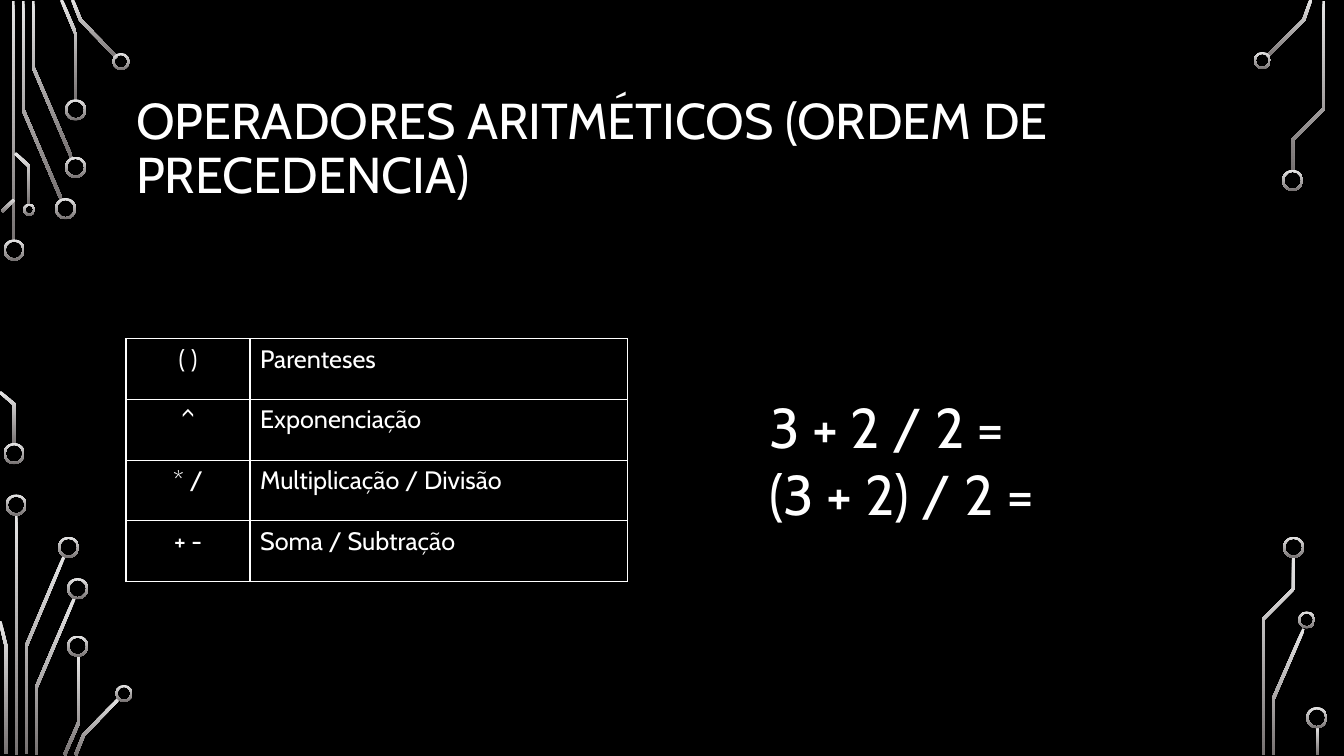
import math
from dataclasses import dataclass

from lxml import etree
from pptx import Presentation
from pptx import util as u
from pptx.dml.color import RGBColor
from pptx.enum import shapes, text
from pptx.oxml.ns import qn

FONT = "Cabin"
WHITE = "FFFFFF"
TRACK_WIDTH = 0.03
RING_WIDTH = 0.02
Point = tuple[float, float]


@dataclass(frozen=True)
class Track:
    points: tuple[Point, ...]


@dataclass(frozen=True)
class Ring:
    x: float
    y: float
    diameter: float = 0.21


@dataclass(frozen=True)
class Operator:
    symbol: str
    meaning: str


TRACKS = [
    Track(((0.13, 0.01), (0.13, 2.4))),
    Track(((0.23, 0.01), (0.23, 1.09), (0.61, 1.98))),
    Track(((0.33, 0.01), (0.33, 0.67), (0.71, 1.56))),
    Track(((0.61, 0), (0.75, 0.33), (0.75, 1))),
    Track(((0.72, 0), (0.8, 0.2), (1.16, 0.57))),
    Track(((0.14, 1.98), (0.02, 2.1))),
    Track(((0, 3.89), (0.14, 4.01), (0.14, 4.41))),
    Track(((0.15, 1.52), (0.29, 1.65), (0.29, 2.03))),
    Track(((0.16, 5.1), (0.16, 7.49))),
    Track(((0.64, 5.51), (0.26, 6.41), (0.26, 7.48))),
    Track(((0, 6.16), (0.06, 6.41), (0.06, 7.48))),
    Track(((0.74, 5.93), (0.36, 6.82), (0.36, 7.49))),
    Track(((0.78, 6.5), (0.78, 7.17), (0.64, 7.49))),
    Track(((1.18, 6.93), (0.83, 7.29), (0.75, 7.49))),
    Track(((13, 0), (12.93, 0.2), (12.57, 0.56))),
    Track(((13.13, 0.01), (13.13, 1.08), (12.82, 1.39), (12.82, 1.69))),
    Track(((12.93, 6.24), (12.63, 6.93), (12.63, 7.49))),
    Track(((12.83, 5.52), (12.83, 5.84), (12.53, 6.14), (12.53, 7.49))),
    Track(((13.07, 7.21), (13.07, 7.49))),
]

RINGS = [
    Ring(0.14, 2.48), Ring(0.14, 4.5), Ring(0.65, 2.07), Ring(0.75, 1.66),
    Ring(0.75, 1.09), Ring(1.2, 0.61, 0.17), Ring(0.29, 2.08, 0.12),
    Ring(0.16, 5.01), Ring(0.68, 5.43), Ring(0.77, 5.84), Ring(0.77, 6.41),
    Ring(1.23, 6.88, 0.17), Ring(12.52, 0.6, 0.17), Ring(12.82, 1.79),
    Ring(12.96, 6.15, 0.17), Ring(12.83, 5.43), Ring(13.06, 7.12),
]

OPERATORS = [
    Operator("( )", "Parenteses"),
    Operator("^", "Exponenciação"),
    Operator("* /", "Multiplicação / Divisão"),
    Operator("+ -", "Soma / Subtração"),
]


def length(inches: float) -> u.Length:
    return u.Cm(inches * 2.54)


def color(value: str) -> RGBColor:
    return RGBColor.from_string(value)


def format_text(frame, size: float) -> None:
    for paragraph in frame.paragraphs:
        for run in paragraph.runs:
            run.font.name = FONT
            run.font.size = u.Pt(size)
            run.font.color.rgb = color(WHITE)


def paint_metal(shape) -> None:
    shape.shadow.inherit = False
    shape.line.fill.background()
    shape.fill.gradient()
    shape.fill.gradient_angle = 270
    for stop, (position, value) in zip(
        shape.fill.gradient_stops, ((0, "E7E6E6"), (1, "767171"))
    ):
        stop.position = position
        stop.color.rgb = color(value)


def track_outline(points: tuple[Point, ...]) -> list[Point]:
    normals = []
    for (x1, y1), (x2, y2) in zip(points, points[1:]):
        distance = math.hypot(x2 - x1, y2 - y1)
        normals.append(((y1 - y2) / distance, (x2 - x1) / distance))
    left, right = [], []
    joints = zip(points, normals[:1] + normals, normals + normals[-1:])
    for (x, y), (ax, ay), (bx, by) in joints:
        scale = TRACK_WIDTH / 2 / (1 + ax * bx + ay * by)
        dx, dy = (ax + bx) * scale, (ay + by) * scale
        left.append((x + dx, y + dy))
        right.append((x - dx, y - dy))
    return left + right[::-1]


def draw_track(slide, track: Track) -> None:
    start, *others = [(length(x), length(y)) for x, y in track_outline(track.points)]
    builder = slide.shapes.build_freeform(*start)
    builder.add_line_segments(others, close=True)
    paint_metal(builder.convert_to_shape())


def draw_ring(slide, ring: Ring) -> None:
    radius = ring.diameter / 2
    shape = slide.shapes.add_shape(
        shapes.MSO_SHAPE.DONUT, length(ring.x - radius), length(ring.y - radius),
        length(ring.diameter), length(ring.diameter),
    )
    shape.adjustments[0] = RING_WIDTH / ring.diameter
    paint_metal(shape)


def add_title(slide) -> None:
    title = slide.shapes.title
    title.left, title.top = length(1.25), length(0.68)
    title.width, title.height = length(10.83), length(1.62)
    frame = title.text_frame
    frame.text = "OPERADORES ARITMÉTICOS (ORDEM DE PRECEDENCIA)"
    frame.word_wrap = True
    frame.auto_size = text.MSO_AUTO_SIZE.NONE
    frame.vertical_anchor = text.MSO_ANCHOR.MIDDLE
    frame.paragraphs[0].alignment = text.PP_ALIGN.LEFT
    frame.paragraphs[0].line_spacing = 0.9
    format_text(frame, 36)


def add_borders(cell) -> None:
    properties = cell._tc.get_or_add_tcPr()
    for index, side in enumerate(("a:lnL", "a:lnR", "a:lnT", "a:lnB")):
        line = etree.Element(qn(side), w=str(u.Pt(1)))
        fill = etree.SubElement(line, qn("a:solidFill"))
        etree.SubElement(fill, qn("a:srgbClr"), val=WHITE)
        properties.insert(index, line)


def add_operator_table(slide) -> None:
    table = slide.shapes.add_table(
        len(OPERATORS), 2, length(1.25), length(3.36), length(4.97), length(2.41)
    ).table
    table.first_row = table.horz_banding = False
    table.columns[0].width, table.columns[1].width = length(1.23), length(3.74)
    for row, operator in enumerate(OPERATORS):
        for column, label in enumerate((operator.symbol, operator.meaning)):
            cell = table.cell(row, column)
            cell.text_frame.text = label
            cell.fill.background()
            add_borders(cell)
            format_text(cell.text_frame, 18)
        table.cell(row, 0).text_frame.paragraphs[0].alignment = text.PP_ALIGN.CENTER


def add_expressions(slide) -> None:
    box = slide.shapes.add_textbox(
        length(7.53), length(3.84), length(4.55), length(1.45)
    )
    frame = box.text_frame
    frame.text = "3 + 2 / 2 =\n(3 + 2) / 2 ="
    frame.word_wrap = True
    frame.auto_size = text.MSO_AUTO_SIZE.SHAPE_TO_FIT_TEXT
    format_text(frame, 40)


def main() -> None:
    presentation = Presentation()
    presentation.slide_width, presentation.slide_height = length(13.33), length(7.5)
    slide = presentation.slides.add_slide(presentation.slide_layouts[5])
    slide.background.fill.solid()
    slide.background.fill.fore_color.rgb = color("000000")
    for track in TRACKS:
        draw_track(slide, track)
    for ring in RINGS:
        draw_ring(slide, ring)
    add_title(slide)
    add_operator_table(slide)
    add_expressions(slide)
    presentation.save("out.pptx")


if __name__ == "__main__":
    main()
